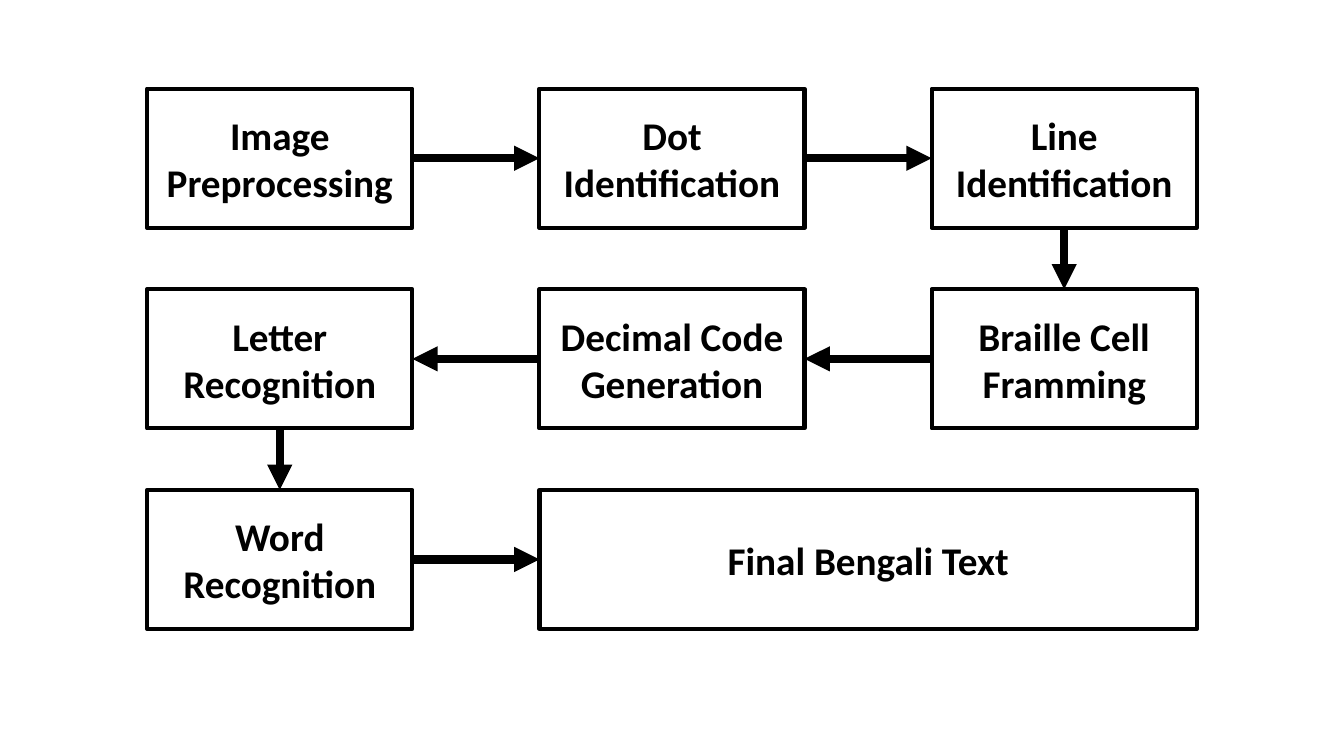
from itertools import pairwise

from lxml.etree import SubElement
from pptx import Presentation
from pptx.dml.color import RGBColor
from pptx.enum.shapes import MSO_CONNECTOR, MSO_SHAPE
from pptx.enum.text import MSO_ANCHOR, PP_ALIGN
from pptx.oxml.ns import qn
from pptx.util import Inches, Pt

COLOURS = {"ink": "000000", "paper": "FFFFFF"}
FONT = "Calibri"

# Grid of the flow: step from one cell to the next, and the cell itself
COLUMN_STEP, ROW_STEP = 3.89, 1.99
CELL_WIDTH, CELL_HEIGHT = 2.63, 1.38

# Connection sites of a rectangle
TOP, LEFT, BOTTOM, RIGHT = range(4)

# Stages in reading order of the flow: column, row, columns spanned, paragraphs
STAGES = [
    (0, 0, 1, ["Image Preprocessing"]),
    (1, 0, 1, ["Dot Identification"]),
    (2, 0, 1, ["Line", "Identification"]),
    (2, 1, 1, ["Braille Cell Framming"]),
    (1, 1, 1, ["Decimal Code Generation"]),
    (0, 1, 1, ["Letter Recognition"]),
    (0, 2, 1, ["Word Recognition"]),
    (1, 2, 2, ["Final Bengali Text"]),
]


def colour(name):
    return RGBColor.from_string(COLOURS[name])


def add_stage(page, left, top, width, height, lines):
    box = page.shapes.add_shape(
        MSO_SHAPE.RECTANGLE, Inches(left), Inches(top), Inches(width), Inches(height))
    box.shadow.inherit = False
    box.fill.background()
    box.line.color.rgb = colour("ink")
    box.line.width = Pt(3)
    frame = box.text_frame
    frame.word_wrap = True
    frame.vertical_anchor = MSO_ANCHOR.MIDDLE
    for index, line in enumerate(lines):
        para = frame.add_paragraph() if index else frame.paragraphs[0]
        para.alignment = PP_ALIGN.CENTER
        span = para.add_run()
        span.text = line
        span.font.name = FONT
        span.font.size = Pt(28)
        span.font.bold = True
        span.font.color.rgb = colour("ink")
    return box


def add_arrow(page, start, start_site, end, end_site):
    arrow = page.shapes.add_connector(MSO_CONNECTOR.STRAIGHT, 0, 0, 0, 0)
    arrow.begin_connect(start, start_site)
    arrow.end_connect(end, end_site)
    arrow.line.color.rgb = colour("ink")
    arrow.line.width = Pt(6)
    SubElement(arrow.line._get_or_add_ln(), qn("a:tailEnd"), type="triangle")
    SubElement(arrow._element.spPr, qn("a:effectLst"))


def facing_sites(start, end):
    """Sites where an arrow leaves one stage and enters the next."""
    if start.top != end.top:
        return BOTTOM, TOP
    return (RIGHT, LEFT) if start.left < end.left else (LEFT, RIGHT)


def add_flow(page, left, top):
    boxes = [
        add_stage(page, left + column * COLUMN_STEP, top + row * ROW_STEP,
                  CELL_WIDTH + (columns - 1) * COLUMN_STEP, CELL_HEIGHT, lines)
        for column, row, columns, lines in STAGES
    ]
    for start, end in pairwise(boxes):
        start_site, end_site = facing_sites(start, end)
        add_arrow(page, start, start_site, end, end_site)


deck = Presentation()
deck.slide_width, deck.slide_height = Inches(13.33), Inches(7.5)

# The slide has no title, so it uses the blank layout
page = deck.slides.add_slide(deck.slide_layouts[6])
page.background.fill.solid()
page.background.fill.fore_color.rgb = colour("paper")
add_flow(page, 1.46, 0.88)

deck.save("out.pptx")
